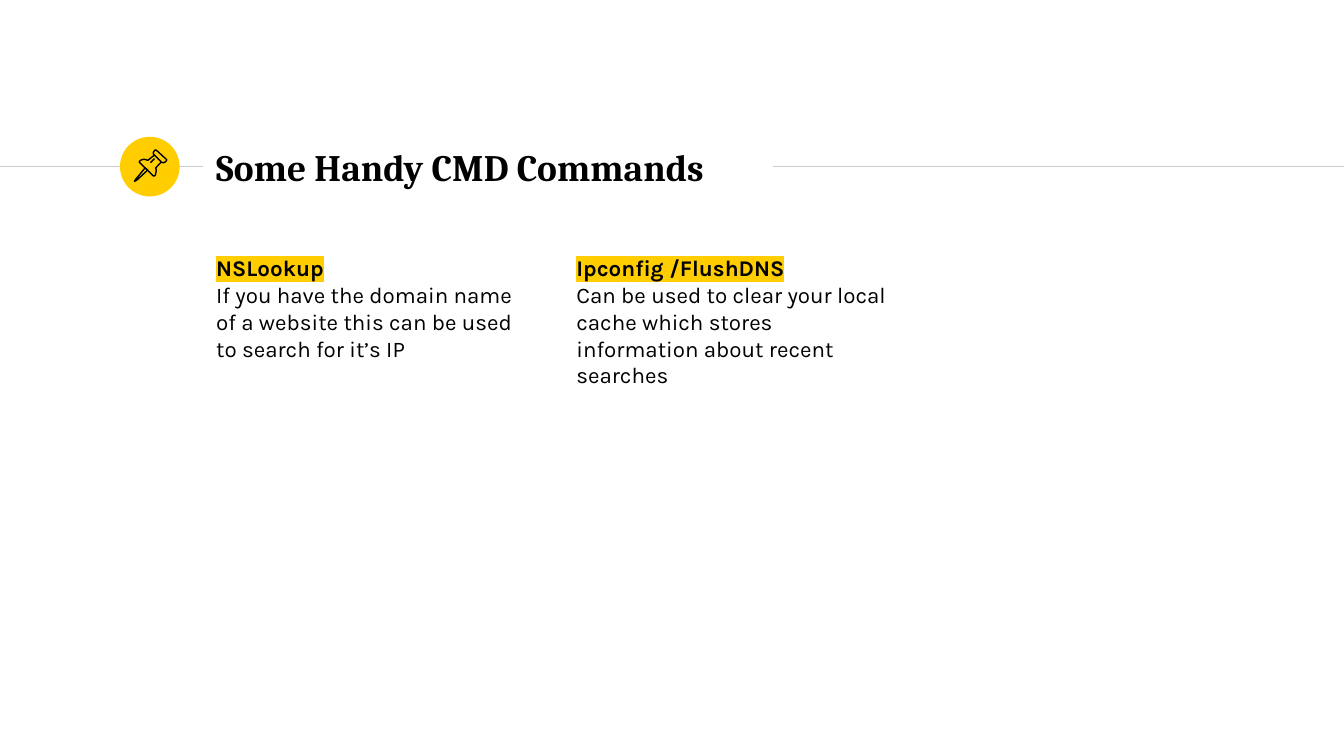
import dataclasses

import lxml.etree
import pptx
import pptx.dml.color
import pptx.enum.shapes
import pptx.enum.text
import pptx.oxml.ns
import pptx.util

CELL = 91440
COLUMNS, ROWS = 100, 56.25
AXIS = 12.4
TEXT_LEFT, COLUMN_WIDTH, COLUMN_STEP = 15.1, 25.5, 26.8
BLACK, GREY, YELLOW = "000000", "CCCCCC", "FFCD00"


@dataclasses.dataclass(frozen=True)
class Command:
    name: str
    use: str


@dataclasses.dataclass(frozen=True)
class Stroke:
    points: tuple
    closed: bool = False


COMMANDS = (
    Command(
        "NSLookup",
        "If you have the domain name of a website this can be used to search for it’s IP",
    ),
    Command(
        "Ipconfig /FlushDNS",
        "Can be used to clear your local cache which stores information about recent searches",
    ),
)

NEEDLE = Stroke(((10.8, 12.5), (10.1, 13.35), (10, 13.5), (10.2, 13.4), (11, 12.65)), True)
CAP = Stroke(
    (
        (11.45, 11.5), (12, 12.05), (12.15, 12.12), (12.3, 12.05), (12.4, 11.95),
        (12.4, 11.88), (11.64, 11.18), (11.55, 11.16), (11.43, 11.3), (11.4, 11.4),
    ),
    True,
)
GRIP = Stroke(
    (
        (11.5, 11.53), (11, 11.93), (10.85, 11.88), (10.7, 11.85), (10.5, 11.9),
        (10.37, 12), (10.37, 12.08), (11.4, 13.08), (11.48, 13.1), (11.56, 13.03),
        (11.6, 12.85), (11.63, 12.65), (11.58, 12.5), (11.98, 12.07),
    )
)
GLINT = Stroke(((11.2, 12.1), (11.5, 11.8)))


def cells(count: float) -> pptx.util.Emu:
    """Convert a number of grid cells to a length."""
    return pptx.util.Emu(round(count * CELL))


def colour(value: str) -> pptx.dml.color.RGBColor:
    """Turn a hex string into a colour."""
    return pptx.dml.color.RGBColor.from_string(value)


def add_run(paragraph, text: str, font: str, size: float, bold: bool = False, highlight: str = ""):
    """Add one black run, highlighted if a colour is given."""
    run = paragraph.add_run()
    run.text = text
    run.font.size = pptx.util.Pt(size)
    run.font.bold = bold
    run.font.color.rgb = colour(BLACK)
    if highlight:
        marker = lxml.etree.SubElement(
            run.font._element, pptx.oxml.ns.qn("a:highlight")
        )
        lxml.etree.SubElement(marker, pptx.oxml.ns.qn("a:srgbClr"), val=highlight)
    run.font.name = font


def add_text_box(slide, left: float, top: float, width: float, height: float):
    """Add a wrapping text box with even insets."""
    box = slide.shapes.add_textbox(cells(left), cells(top), cells(width), cells(height))
    frame = box.text_frame
    frame.word_wrap = True
    frame.margin_left = frame.margin_right = cells(1)
    frame.margin_top = frame.margin_bottom = cells(1)
    return box


def add_title(slide, text: str):
    """Add the heading centred on the axis."""
    height = 4.8
    box = add_text_box(slide, TEXT_LEFT, AXIS - height / 2, 42.4, height)
    box.text_frame.vertical_anchor = pptx.enum.text.MSO_ANCHOR.MIDDLE
    add_run(box.text_frame.paragraphs[0], text, "Cambria", 20, bold=True)
    return box


def add_rule(slide, edge: float, title, side: int):
    """Draw the axis from a slide edge to a side of the title."""
    rule = slide.shapes.add_connector(
        pptx.enum.shapes.MSO_CONNECTOR.STRAIGHT,
        cells(edge), cells(AXIS), cells(TEXT_LEFT), cells(AXIS),
    )
    rule.end_connect(title, side)
    rule.line.color.rgb = colour(GREY)
    rule.line.width = pptx.util.Pt(0.75)
    lxml.etree.SubElement(rule._element.spPr, pptx.oxml.ns.qn("a:effectLst"))


def add_badge(slide):
    """Draw the yellow disc on the axis."""
    size = 4.44
    disc = slide.shapes.add_shape(
        pptx.enum.shapes.MSO_SHAPE.OVAL,
        cells(8.93), cells(AXIS - size / 2), cells(size), cells(size),
    )
    disc.shadow.inherit = False
    disc.fill.solid()
    disc.fill.fore_color.rgb = colour(YELLOW)
    disc.line.fill.background()


def add_stroke(shapes, stroke: Stroke):
    """Draw one unfilled outline of the pushpin."""
    start, *rest = [(cells(x), cells(y)) for x, y in stroke.points]
    builder = shapes.build_freeform(*start)
    builder.add_line_segments(rest, close=stroke.closed)
    outline = builder.convert_to_shape()
    outline.shadow.inherit = False
    outline.fill.background()
    outline.line.color.rgb = colour(BLACK)
    outline.line.width = pptx.util.Pt(0.75)


def add_command(slide, column: int, command: Command):
    """Write a command and its use in a text column."""
    left = TEXT_LEFT + column * COLUMN_STEP
    frame = add_text_box(slide, left, 17.9, COLUMN_WIDTH, 13.2).text_frame
    add_run(frame.paragraphs[0], command.name, "Karla", 12, bold=True, highlight=YELLOW)
    add_run(frame.add_paragraph(), command.use, "Karla", 12)


def main():
    """Build and save the slide."""
    deck = pptx.Presentation()
    deck.slide_width, deck.slide_height = cells(COLUMNS), cells(ROWS)
    slide = deck.slides.add_slide(deck.slide_layouts[6])
    title = add_title(slide, "Some Handy CMD Commands")
    for edge, side in ((0, 1), (COLUMNS, 3)):
        add_rule(slide, edge, title, side)
    add_badge(slide)
    for column, command in enumerate(COMMANDS):
        add_command(slide, column, command)
    pushpin = slide.shapes.add_group_shape()
    for stroke in (NEEDLE, CAP, GRIP, GLINT):
        add_stroke(pushpin.shapes, stroke)
    deck.save("out.pptx")


if __name__ == "__main__":
    main()
